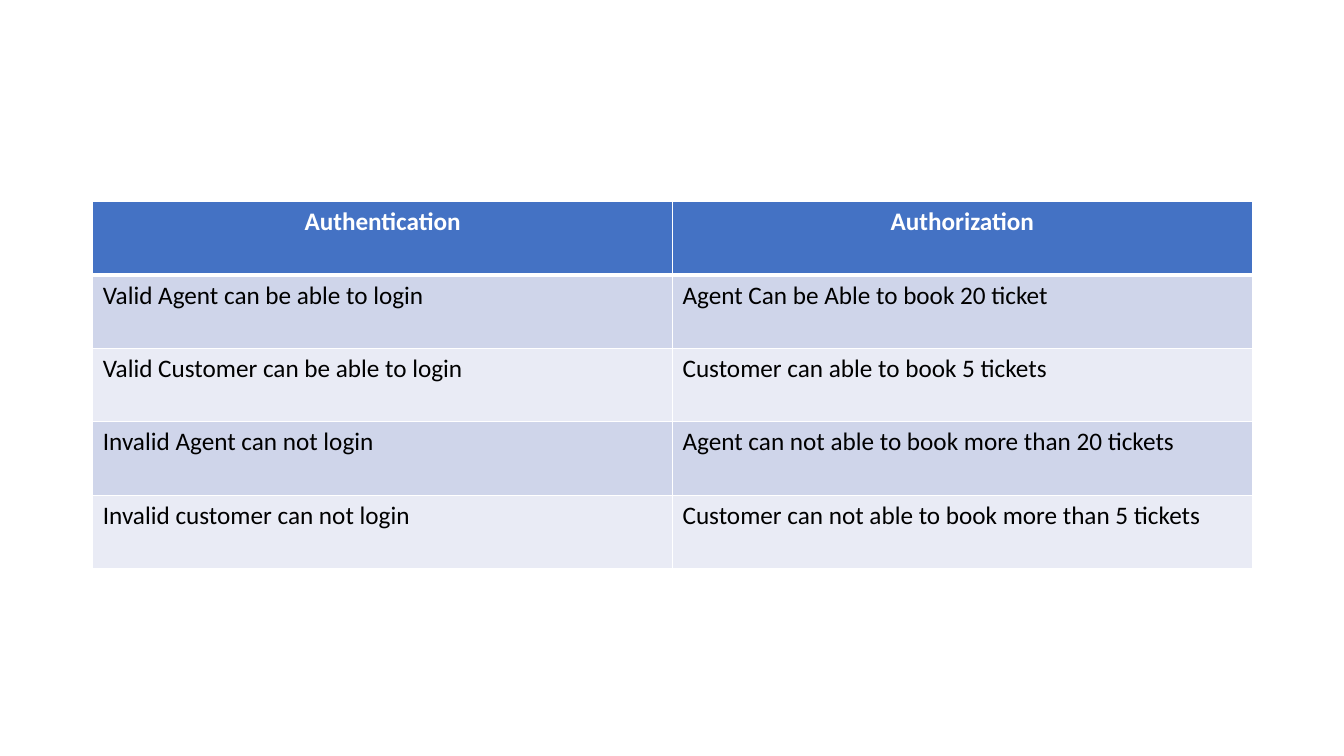
from lxml import etree
from pptx import Presentation
from pptx.dml.color import RGBColor
from pptx.enum.text import PP_ALIGN
from pptx.oxml.ns import qn
from pptx.util import Inches, Pt

CENTER = PP_ALIGN.CENTER
LEFT = PP_ALIGN.LEFT
COLORS = {
    "white": "FFFFFF",
    "black": "000000",
    "head": "4472C4",
    "odd": "CFD5EA",
    "even": "E9EBF5",
}
ROWS = [
    ("Authentication", "Authorization"),
    ("Valid Agent can be able to login", "Agent Can be Able to book 20 ticket"),
    ("Valid Customer can be able to login", "Customer can able to book 5 tickets"),
    ("Invalid Agent can not login", "Agent can not able to book more than 20 tickets"),
    ("Invalid customer can not login", "Customer can not able to book more than 5 tickets"),
]


class Deck:
    def __init__(self):
        self.font = "Calibri"
        self.size = Pt(18)
        self.file = Presentation()
        self.file.slide_width = Inches(13.33)
        self.file.slide_height = Inches(7.5)
        self.slide = self.file.slides.add_slide(self.file.slide_layouts[6])

    def color(self, name):
        return RGBColor.from_string(COLORS[name])

    def border(self, cell, widths):
        props = cell._tc.get_or_add_tcPr()
        for index, (side, width) in enumerate(widths.items()):
            line = etree.Element(qn(f"a:ln{side}"), w=str(Pt(width)))
            fill = etree.SubElement(line, qn("a:solidFill"))
            etree.SubElement(fill, qn("a:srgbClr"), val=COLORS["white"])
            props.insert(index, line)

    def cell(self, cell, text, fill, ink, bold, align):
        cell.fill.solid()
        cell.fill.fore_color.rgb = self.color(fill)
        cell.text_frame.text = text
        para = cell.text_frame.paragraphs[0]
        para.alignment = align
        font = para.runs[0].font
        font.name = self.font
        font.size = self.size
        font.bold = bold
        font.color.rgb = self.color(ink)

    def table(self, rows, left, top, width, height):
        count = len(rows)
        frame = self.slide.shapes.add_table(
            count, len(rows[0]), Inches(left), Inches(top), Inches(width), Inches(height)
        )
        for row, texts in enumerate(rows):
            if row == 0:
                style = ("head", "white", True, CENTER)
            else:
                style = ("odd" if row % 2 else "even", "black", False, LEFT)
            widths = {"L": 1, "R": 1, "T": 3 if row == 1 else 1, "B": 3 if row == 0 else 1}
            for col, text in enumerate(texts):
                cell = frame.table.cell(row, col)
                self.cell(cell, text, *style)
                self.border(cell, widths)


def main():
    deck = Deck()
    deck.table(ROWS, 0.92, 2, 11.5, 3.64)
    deck.file.save("out.pptx")


if __name__ == "__main__":
    main()
